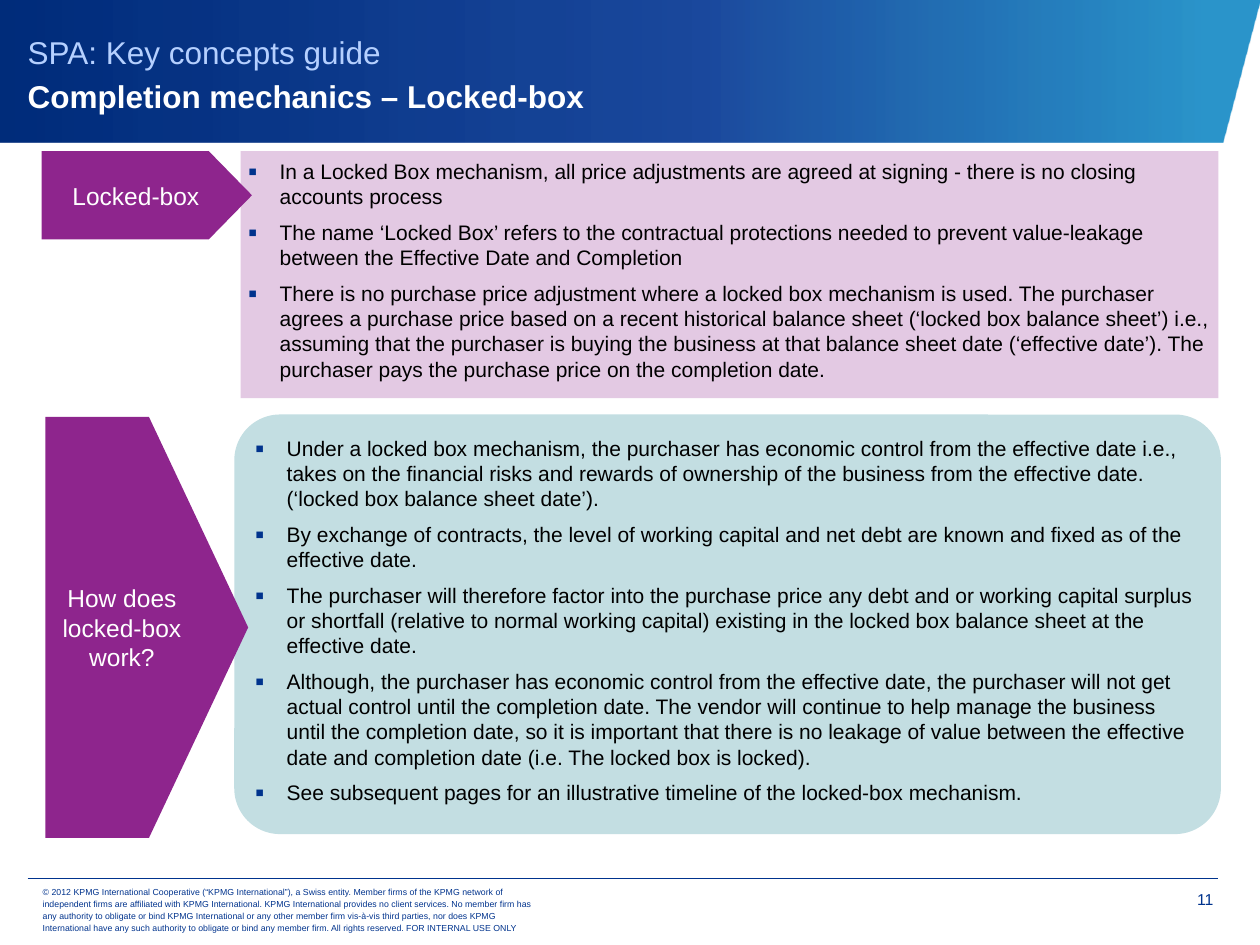
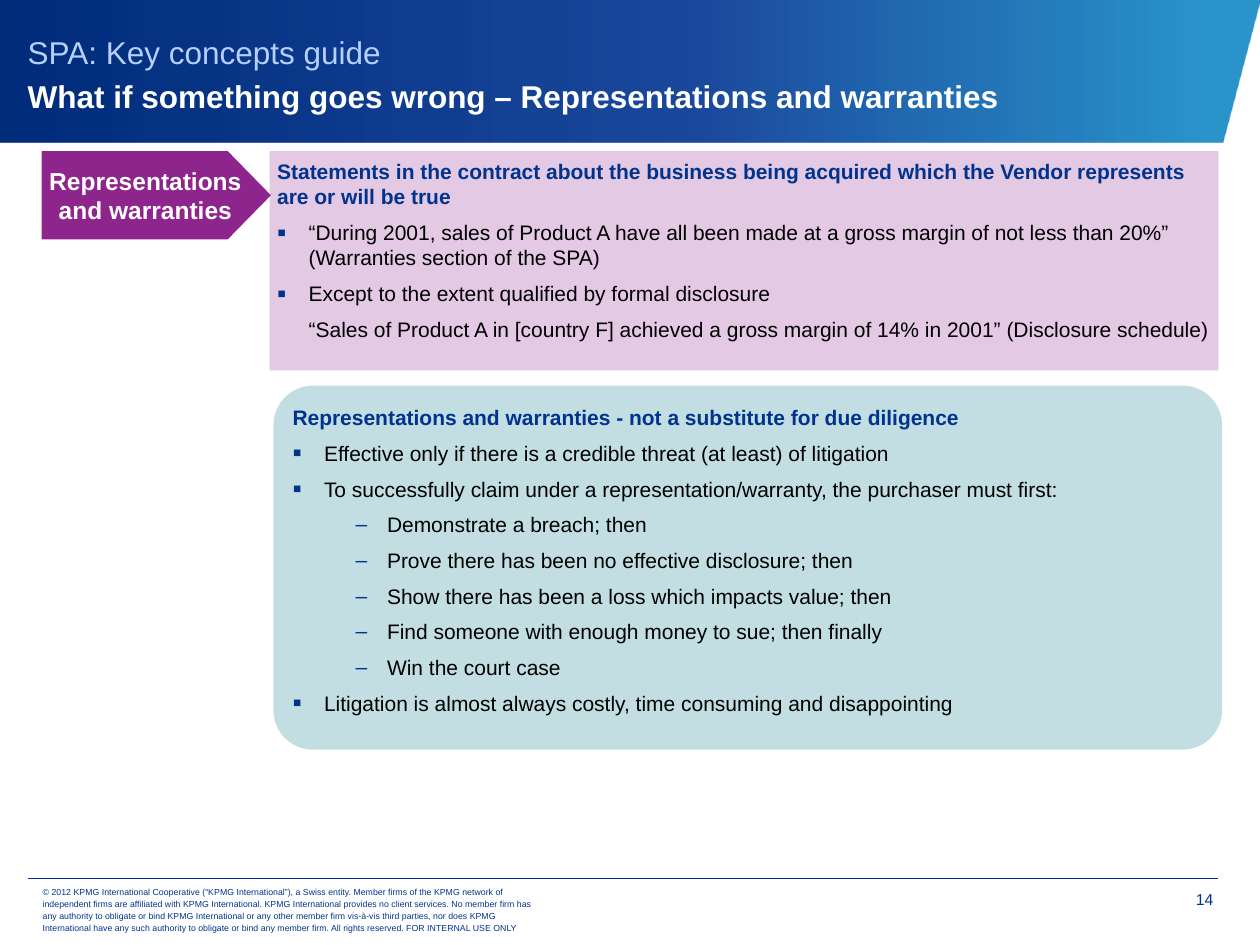
from lxml import etree
from pptx import Presentation
from pptx.dml.color import RGBColor
from pptx.enum.shapes import MSO_CONNECTOR, MSO_SHAPE
from pptx.enum.text import MSO_ANCHOR, MSO_AUTO_SIZE, PP_ALIGN
from pptx.oxml.ns import qn
from pptx.util import Inches, Pt

NAVY = RGBColor(0x00, 0x33, 0x8D)
PURPLE = RGBColor(0x8E, 0x25, 0x8D)
PINK = RGBColor(0xE3, 0xC9, 0xE3)
TEAL = RGBColor(0xC3, 0xDE, 0xE2)
PALE_BLUE = RGBColor(0xB5, 0xD0, 0xFF)
WHITE = RGBColor(0xFF, 0xFF, 0xFF)
BLACK = RGBColor(0x00, 0x00, 0x00)
BAND_STOPS = [(4, "0080C0", 83), (44, "003492", 89), (100, "002C7A", 100)]
BAND_POINTS = [(0, 1.13), (9.7, 1.13), (10, 0), (0, 0)]
FONT = "Arial"
PAD = 0.06

GUIDE = "SPA: Key concepts guide"
COPYRIGHT = (
    "© 2012 KPMG International Cooperative (“KPMG International”), a Swiss entity. "
    "Member firms of the KPMG network of independent firms are affiliated with KPMG "
    "International. KPMG International provides no client services. No member firm has any "
    "authority to obligate or bind KPMG International or any other member firm vis-à-vis "
    "third parties, nor does KPMG International have any such authority to obligate or bind "
    "any member firm. All rights reserved. FOR INTERNAL USE ONLY")

STYLES = {
    "head": dict(color=NAVY, bold=True),
    "item": dict(bullet="▪", bullet_size=125, left=0.25, hang=0.25),
    "quote": dict(left=0.25),
    "sub": dict(bullet="–", left=0.75, hang=0.25, level=1),
}

SLIDES = [
    dict(
        title="Completion mechanics – Locked-box", page="11",
        panels=[
            dict(shape=MSO_SHAPE.RECTANGLE, fill=PINK, box=(1.91, 1.2, 7.76, 1.96), lines=[
                ("item", "In a Locked Box mechanism, all price adjustments are agreed at signing "
                 "- there is no closing accounts process"),
                ("item", "The name ‘Locked Box’ refers to the contractual protections needed to "
                 "prevent value-leakage between the Effective Date and Completion"),
                ("item", "There is no purchase price adjustment where a locked box mechanism is "
                 "used. The purchaser agrees a purchase price based on a recent historical "
                 "balance sheet (‘locked box balance sheet’) i.e., assuming that the purchaser "
                 "is buying the business at that balance sheet date (‘effective date’). The "
                 "purchaser pays the purchase price on the completion date."),
            ]),
            dict(shape=MSO_SHAPE.ROUNDED_RECTANGLE, fill=TEAL, box=(1.86, 3.29, 7.83, 3.33), lines=[
                ("item", "Under a locked box mechanism, the purchaser has economic control from "
                 "the effective date i.e., takes on the financial risks and rewards of ownership "
                 "of the business from the effective date. (‘locked box balance sheet date’)."),
                ("item", "By exchange of contracts, the level of working capital and net debt are "
                 "known and fixed as of the effective date."),
                ("item", "The purchaser will therefore factor into the purchase price any debt and "
                 "or working capital surplus or shortfall (relative to normal working capital) "
                 "existing in the locked box balance sheet at the effective date."),
                ("item", "Although, the purchaser has economic control from the effective date, "
                 "the purchaser will not get actual control until the completion date. The vendor "
                 "will continue to help manage the business until the completion date, so it is "
                 "important that there is no leakage of value between the effective date and "
                 "completion date (i.e. The locked box is locked)."),
                ("item", "See subsequent pages for an illustrative timeline of the locked-box "
                 "mechanism."),
            ]),
        ],
        arrows=[("Locked-box", (0.33, 1.2, 1.67, 0.7), False),
                ("How does locked-box work?", (0.36, 3.31, 1.61, 3.34), False)],
    ),
    dict(
        title="What if something goes wrong – Representations and warranties", page="14",
        panels=[
            dict(shape=MSO_SHAPE.RECTANGLE, fill=PINK, box=(2.14, 1.2, 7.53, 1.74), lines=[
                ("head", "Statements in the contract about the business being acquired which the "
                 "Vendor represents are or will be true"),
                ("item", "“During 2001, sales of Product A have all been made at a gross margin of "
                 "not less than 20%” (Warranties section of the SPA)"),
                ("item", "Except to the extent qualified by formal disclosure"),
                ("quote", "“Sales of Product A in [country F] achieved a gross margin of 14% in "
                 "2001” (Disclosure schedule)"),
            ]),
            dict(shape=MSO_SHAPE.ROUNDED_RECTANGLE, fill=TEAL, box=(2.17, 3.06, 7.53, 2.89), lines=[
                ("head", "Representations and warranties - not a substitute for due diligence"),
                ("item", "Effective only if there is a credible threat (at least) of litigation"),
                ("item", "To successfully claim under a representation/warranty, the purchaser "
                 "must first:"),
                ("sub", "Demonstrate a breach; then"),
                ("sub", "Prove there has been no effective disclosure; then"),
                ("sub", "Show there has been a loss which impacts value; then"),
                ("sub", "Find someone with enough money to sue; then finally"),
                ("sub", "Win the court case"),
                ("item", "Litigation is almost always costly, time consuming and disappointing"),
            ]),
        ],
        arrows=[("Representations and warranties", (0.33, 1.2, 1.82, 0.7), True)],
    ),
]


def inches(box):
    return [Inches(v) for v in box]


def add_xml(parent, tag, **attrs):
    return etree.SubElement(parent, qn(tag), attrs)


def set_frame(tf, anchor, insets=(PAD,) * 4):
    tf.word_wrap = True
    tf.auto_size = MSO_AUTO_SIZE.NONE
    tf.vertical_anchor = anchor
    tf.margin_left, tf.margin_top, tf.margin_right, tf.margin_bottom = inches(insets)


def add_run(p, text, size=12, color=BLACK, bold=False):
    r = p.add_run()
    r.text = text
    r.font.name, r.font.size, r.font.bold = FONT, Pt(size), bold
    r.font.color.rgb = color


def add_text(p, text, align=PP_ALIGN.LEFT, spacing=None, before=0, after=0, level=0,
             left=0, hang=0, bullet=None, bullet_size=100, **font):
    pPr = p._p.get_or_add_pPr()
    pPr.set("marL", str(Inches(left)))
    pPr.set("indent", str(-Inches(hang)))
    if bullet:
        add_xml(add_xml(pPr, "a:buClr"), "a:srgbClr", val=str(NAVY))
        add_xml(pPr, "a:buSzPct", val=str(bullet_size * 1000))
        add_xml(pPr, "a:buFont", typeface=FONT)
        add_xml(pPr, "a:buChar", char=bullet)
    else:
        add_xml(pPr, "a:buNone")
    p.level, p.alignment = level, align
    p.space_before, p.space_after = Pt(before), Pt(after)
    if spacing:
        p.line_spacing = Pt(spacing)
    add_run(p, text, **font)


def add_box(s, shape, box, fill, anchor):
    sp = s.shapes.add_shape(shape, *inches(box))
    sp.shadow.inherit = False
    sp.fill.solid()
    sp.fill.fore_color.rgb = fill
    sp.line.fill.background()
    set_frame(sp.text_frame, anchor)
    return sp


def add_band(s):
    points = [inches(pt) for pt in BAND_POINTS]
    builder = s.shapes.build_freeform(*points[0])
    builder.add_line_segments(points[1:], close=True)
    sp = builder.convert_to_shape()
    sp.shadow.inherit = False
    sp.line.fill.background()
    sp.fill.gradient()
    sp.fill.gradient_angle = 180
    stops = sp._element.spPr.find(".//" + qn("a:gsLst"))
    for stop in list(stops):
        stops.remove(stop)
    for pos, color, alpha in BAND_STOPS:
        clr = add_xml(add_xml(stops, "a:gs", pos=str(pos * 1000)), "a:srgbClr", val=color)
        add_xml(clr, "a:alpha", val=str(alpha * 1000))
    s.shapes._spTree.insert(2, sp._element)


def add_title(s, text):
    sp = s.shapes.title
    sp.left, sp.top, sp.width, sp.height = inches((0.22, 0.13, 9.35, 0.87))
    set_frame(sp.text_frame, MSO_ANCHOR.MIDDLE, (0, 0, 0, 0))
    p = sp.text_frame.paragraphs[0]
    add_text(p, GUIDE, spacing=25, size=18, color=PALE_BLUE)
    p.add_line_break()
    add_run(p, text, size=18, color=WHITE, bold=True)


def add_footer(s, page):
    rule = s.shapes.add_connector(MSO_CONNECTOR.STRAIGHT, *inches((0.22, 6.97, 9.67, 6.97)))
    rule.line.color.rgb = NAVY
    rule.line.width = Pt(0.25)
    add_xml(rule._element.spPr, "a:effectLst")
    tf = s.shapes.add_textbox(*inches((0.24, 7.04, 4.15, 0.35))).text_frame
    set_frame(tf, MSO_ANCHOR.MIDDLE, (0.1, 0.05, 0.1, 0.05))
    add_text(tf.paragraphs[0], COPYRIGHT, spacing=7, size=5, color=NAVY)
    tf = s.shapes.add_textbox(*inches((9.08, 6.98, 0.55, 0.31))).text_frame
    set_frame(tf, MSO_ANCHOR.TOP, (0.08, 0.08, 0, 0))
    add_text(tf.paragraphs[0], page, align=PP_ALIGN.RIGHT, size=9, color=NAVY)


def add_panel(s, shape, fill, box, lines):
    sp = add_box(s, shape, box, fill, MSO_ANCHOR.TOP)
    if shape == MSO_SHAPE.ROUNDED_RECTANGLE:
        sp.adjustments[0] = 0.109
    tf = sp.text_frame
    for i, (style, text) in enumerate(lines):
        p = tf.add_paragraph() if i else tf.paragraphs[0]
        add_text(p, text, before=3 if i else 0, after=3, **STYLES[style])


def add_arrow(s, text, box, bold):
    sp = add_box(s, MSO_SHAPE.PENTAGON, box, PURPLE, MSO_ANCHOR.MIDDLE)
    sp.adjustments[0] = 0.489
    add_text(sp.text_frame.paragraphs[0], text, align=PP_ALIGN.CENTER,
             size=14, color=WHITE, bold=bold)


def main():
    prs = Presentation()
    prs.slide_width, prs.slide_height = Inches(10), Inches(7.5)
    for content in SLIDES:
        s = prs.slides.add_slide(prs.slide_layouts[5])
        add_band(s)
        add_title(s, content["title"])
        add_footer(s, content["page"])
        for panel in content["panels"]:
            add_panel(s, **panel)
        for arrow in content["arrows"]:
            add_arrow(s, *arrow)
    prs.save("out.pptx")


if __name__ == "__main__":
    main()
